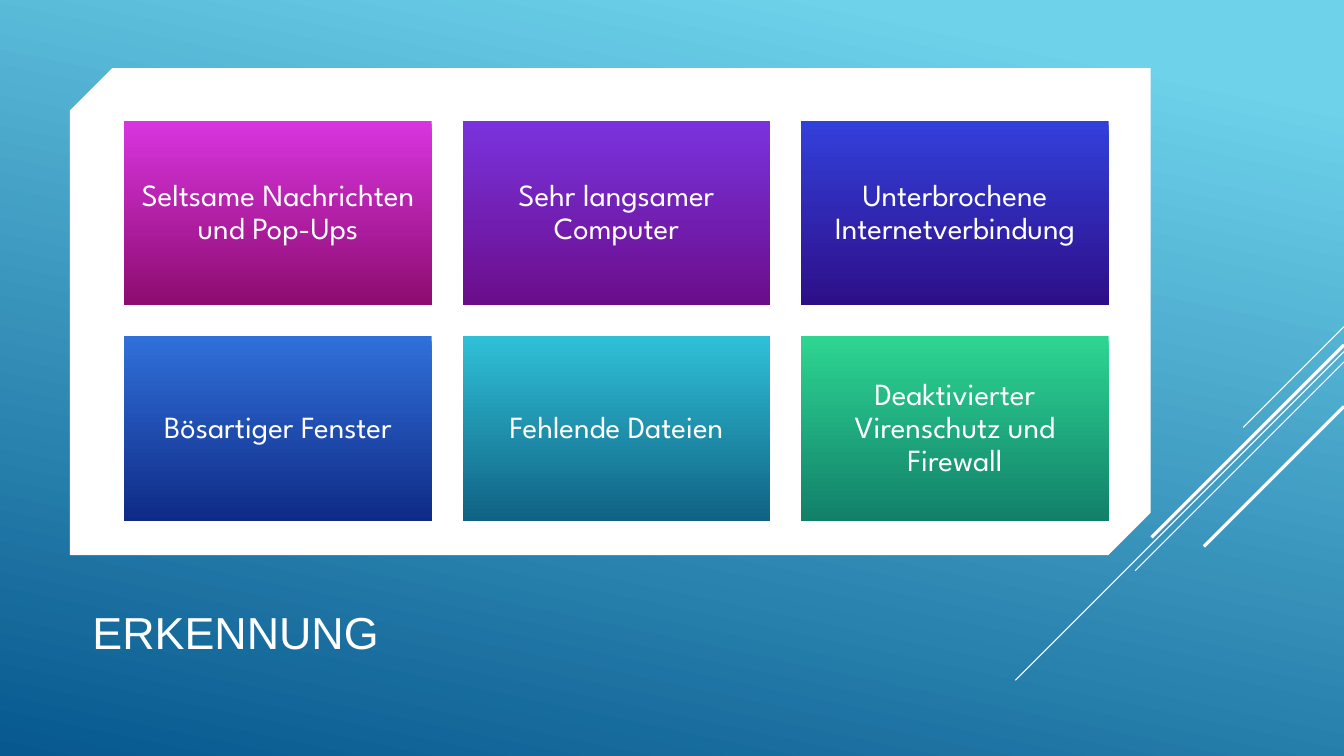
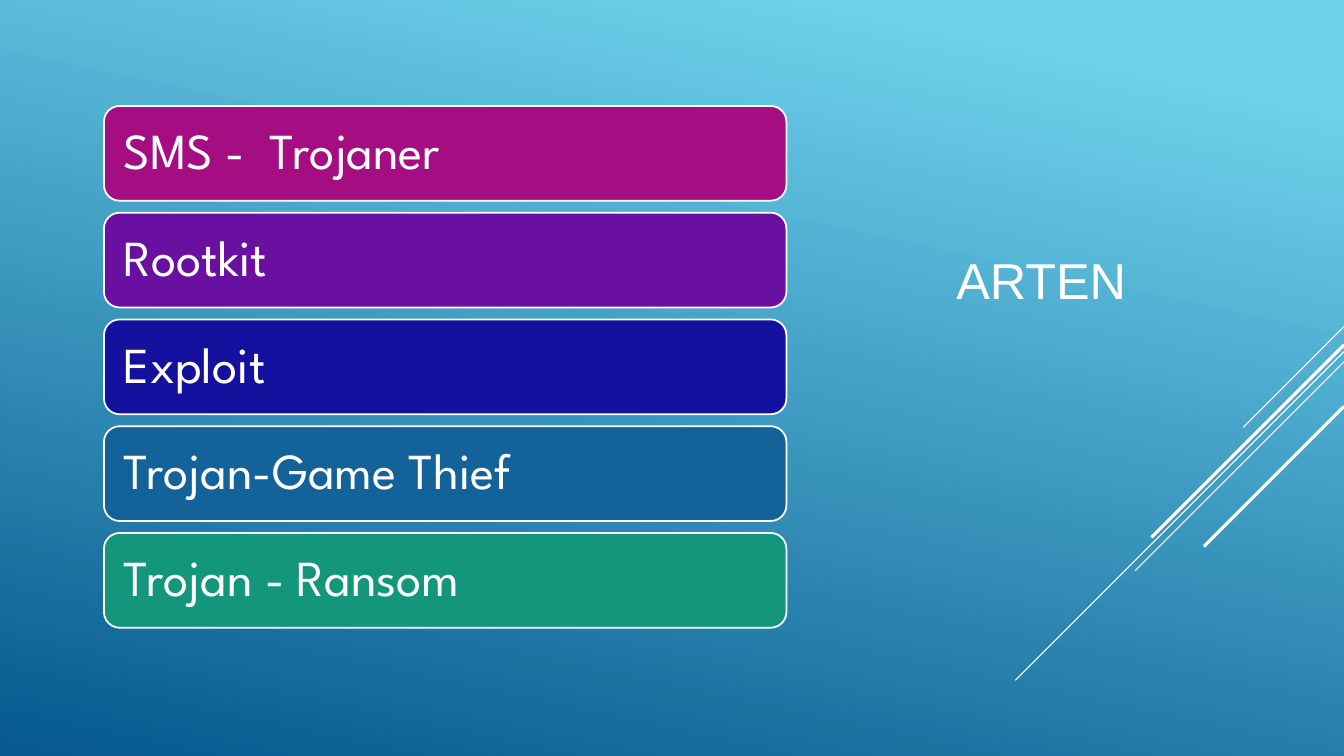
import dataclasses

import lxml.etree
import pptx
import pptx.dml.color
import pptx.enum.shapes
import pptx.enum.text
import pptx.oxml.ns
import pptx.util

Cm = pptx.util.Cm
Shape = pptx.enum.shapes.MSO_SHAPE
Anchor = pptx.enum.text.MSO_ANCHOR
Align = pptx.enum.text.PP_ALIGN


@dataclasses.dataclass(frozen=True)
class Theme:
    """Colours, fonts and type sizes of the presentation."""
    white: str = "FFFFFF"
    sky: str = "6ED2EB"
    ocean: str = "06588E"
    title_font: str = "Arial"
    body_font: str = "League Spartan"
    tile_size: int = 22
    bar_size: int = 36
    wide_title_size: int = 32
    side_title_size: int = 36
    tile_gradients: tuple = (
        ("D835DF", "8D0C6F"), ("7933DD", "6B0D8B"), ("3240DB", "2E0E88"),
        ("3070D9", "0F2A86"), ("2FC0D7", "106283"), ("2ED592", "11806A"),
    )
    bar_colours: tuple = ("A50E82", "6A10A1", "13119D", "13639A", "14967C")


class Deck:
    """Holds the style and the current slide and draws each kind of element."""

    WIDTH, HEIGHT = 33.87, 19.05
    STREAKS = (
        (8.23, 2.54, 0.75), (8.86, 8.28, 0.75), (9.12, 5.26, 0.75),
        (8.69, 4.85, 2.25), (10.24, 3.53, 2.25),
    )

    def __init__(self, theme):
        """Create the presentation with its shared background."""
        self.theme = theme
        self.presentation = pptx.Presentation()
        self.presentation.slide_width = Cm(self.WIDTH)
        self.presentation.slide_height = Cm(self.HEIGHT)
        self.slide = None
        background = self.presentation.slide_master.background
        self.fill_gradient(background.fill, (theme.sky, theme.ocean), 102, 0.1)

    @staticmethod
    def colour(value):
        """Return a colour object for a hexadecimal value."""
        return pptx.dml.color.RGBColor.from_string(value)

    def fill_gradient(self, fill, colours, angle, start=0):
        """Apply a two-colour gradient with a clockwise angle."""
        fill.gradient()
        fill.gradient_angle = 360 - angle
        for stop, colour, position in zip(fill.gradient_stops, colours, (start, 1)):
            stop.color.rgb = self.colour(colour)
            stop.position = position

    def add_slide(self):
        """Start a blank slide."""
        self.slide = self.presentation.slides.add_slide(
            self.presentation.slide_layouts[6])

    def add_streaks(self):
        """Draw the diagonal lines that run in from the right edge."""
        for top, run, weight in self.STREAKS:
            connector = self.slide.shapes.add_connector(
                pptx.enum.shapes.MSO_CONNECTOR.STRAIGHT,
                Cm(self.WIDTH), Cm(top), Cm(self.WIDTH - run), Cm(top + run))
            connector.line.color.rgb = self.colour(self.theme.white)
            connector.line.width = pptx.util.Pt(weight)
            lxml.etree.SubElement(
                connector._element.spPr, pptx.oxml.ns.qn("a:effectLst"))

    def set_text(self, shape, text, font, size, anchor, align=Align.LEFT):
        """Put white text into a shape."""
        frame = shape.text_frame
        frame.word_wrap = True
        frame.vertical_anchor = anchor
        frame.text = text
        paragraph = frame.paragraphs[0]
        paragraph.alignment = align
        paragraph.line_spacing = 0.9
        run_font = paragraph.runs[0].font
        run_font.name = font
        run_font.size = pptx.util.Pt(size)
        run_font.color.rgb = self.colour(self.theme.white)

    def add_title(self, text, box, size, anchor):
        """Add the slide title."""
        shape = self.slide.shapes.add_textbox(*map(Cm, box))
        self.set_text(shape, text, self.theme.title_font, size, anchor)

    def add_shape(self, kind, box):
        """Add a preset shape without shadow or outline."""
        shape = self.slide.shapes.add_shape(kind, *map(Cm, box))
        shape.shadow.inherit = False
        shape.line.fill.background()
        return shape

    def add_panel(self, box):
        """Add the white panel with two snipped corners."""
        panel = self.add_shape(Shape.SNIP_2_DIAG_RECTANGLE, box)
        panel.adjustments[0] = 0.087
        panel.adjustments[1] = 0
        panel.fill.solid()
        panel.fill.fore_color.rgb = self.colour(self.theme.white)

    def add_tile(self, text, box, colours):
        """Add a gradient tile with centred text."""
        tile = self.add_shape(Shape.RECTANGLE, box)
        self.fill_gradient(tile.fill, colours, 90)
        frame = tile.text_frame
        frame.margin_left = frame.margin_right = Cm(0.23)
        self.set_text(tile, text, self.theme.body_font, self.theme.tile_size,
                      Anchor.MIDDLE, Align.CENTER)

    def add_bar(self, text, box, colour):
        """Add a rounded, outlined bar with text on the left."""
        bar = self.add_shape(Shape.ROUNDED_RECTANGLE, box)
        bar.fill.solid()
        bar.fill.fore_color.rgb = self.colour(colour)
        bar.line.color.rgb = self.colour(self.theme.white)
        bar.line.width = pptx.util.Pt(1.25)
        bar.text_frame.margin_left = Cm(0.38)
        self.set_text(bar, text, self.theme.body_font, self.theme.bar_size,
                      Anchor.MIDDLE)


def build_detection(deck):
    """Build the slide with the signs of an infection."""
    signs = (
        "Seltsame Nachrichten und Pop-Ups", "Sehr langsamer Computer",
        "Unterbrochene Internetverbindung", "Bösartiger Fenster",
        "Fehlende Dateien", "Deaktivierter Virenschutz und Firewall",
    )
    deck.add_slide()
    deck.add_title("ERKENNUNG", (2.08, 14.4, 24.18, 2.34),
                   deck.theme.wide_title_size, Anchor.BOTTOM)
    deck.add_panel((1.76, 1.72, 27.24, 12.27))
    deck.add_streaks()
    for index, (sign, colours) in enumerate(zip(signs, deck.theme.tile_gradients)):
        row, column = divmod(index, 3)
        box = (3.13 + column * 8.53, 3.05 + row * 5.43, 7.75, 4.65)
        deck.add_tile(sign, box, colours)


def build_kinds(deck):
    """Build the slide with the kinds of malware."""
    kinds = ("SMS -  Trojaner", "Rootkit", "Exploit", "Trojan-Game Thief",
             "Trojan - Ransom")
    deck.add_slide()
    deck.add_streaks()
    deck.add_title("ARTEN", (23.85, 2.62, 8.46, 9.02),
                   deck.theme.side_title_size, Anchor.MIDDLE)
    for row, (kind, colour) in enumerate(zip(kinds, deck.theme.bar_colours)):
        deck.add_bar(kind, (2.62, 2.67 + row * 2.69, 17.2, 2.39), colour)


def main():
    """Build and save the presentation."""
    deck = Deck(Theme())
    build_detection(deck)
    build_kinds(deck)
    deck.presentation.save("out.pptx")


main()
